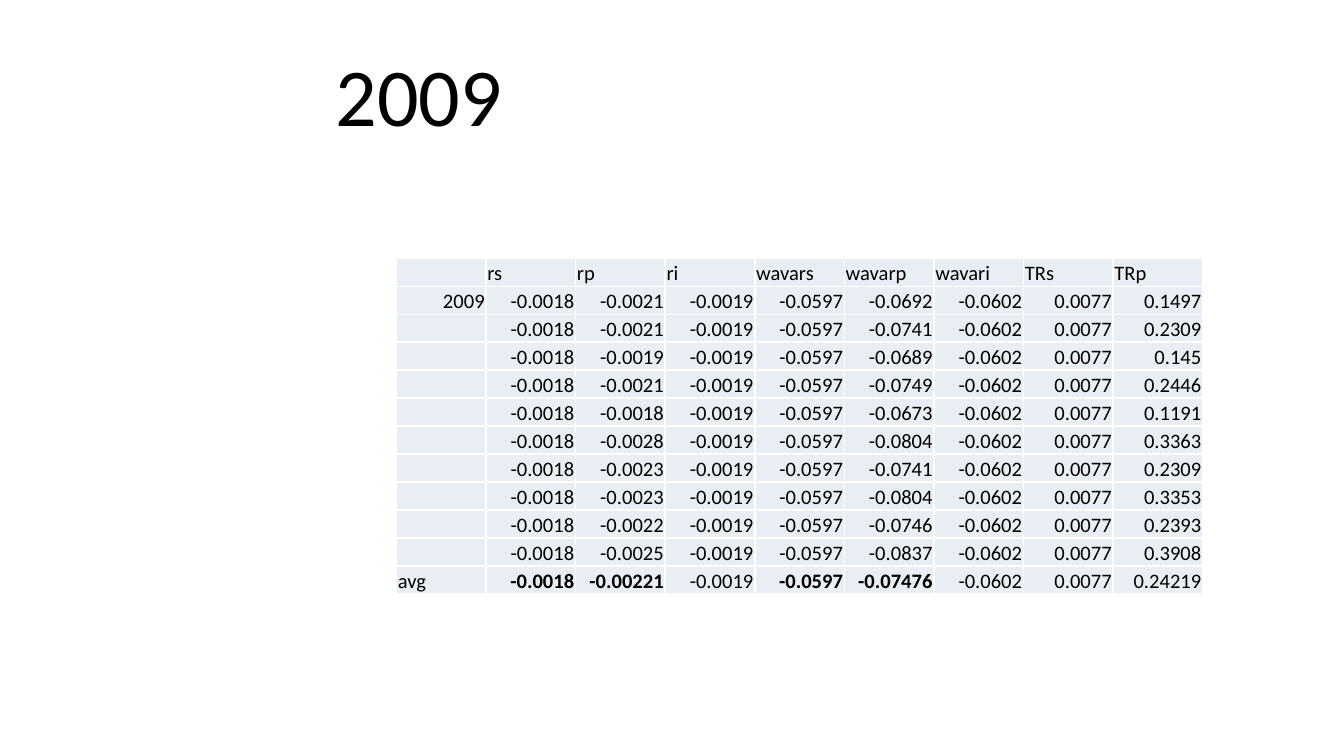
from dataclasses import dataclass

from lxml.etree import SubElement
from pptx import Presentation
from pptx.dml.color import RGBColor
from pptx.enum.text import MSO_ANCHOR, PP_ALIGN
from pptx.oxml.ns import qn
from pptx.slide import Slide
from pptx.table import _Cell
from pptx.util import Pt

FONT = "Calibri"
BLACK, WHITE, CELL_FILL = "000000", "FFFFFF", "E9EDF4"
BODY_SIZE = 11
COLUMN_WIDTH, ROW_HEIGHT = 48, 15
TABLE_LEFT, TABLE_TOP = 212.4, 138.4

HEADERS = ["", "rs", "rp", "ri", "wavars", "wavarp", "wavari", "TRs", "TRp"]
# The columns that change from row to row: rp, wavarp, TRp
RUNS = [
    ("-0.0021", "-0.0692", "0.1497"),
    ("-0.0021", "-0.0741", "0.2309"),
    ("-0.0019", "-0.0689", "0.145"),
    ("-0.0021", "-0.0749", "0.2446"),
    ("-0.0018", "-0.0673", "0.1191"),
    ("-0.0028", "-0.0804", "0.3363"),
    ("-0.0023", "-0.0741", "0.2309"),
    ("-0.0023", "-0.0804", "0.3353"),
    ("-0.0022", "-0.0746", "0.2393"),
    ("-0.0025", "-0.0837", "0.3908"),
]
AVERAGES = ("-0.00221", "-0.07476", "0.24219")
BOLD_AVERAGES = {"rs", "rp", "wavars", "wavarp"}


@dataclass
class CellText:
    text: str
    right: bool = True
    bold: bool = False


def color(value: str) -> RGBColor:
    return RGBColor.from_string(value)


def value_row(label: str, rp: str, wavarp: str, trp: str) -> list[str]:
    return [label, "-0.0018", rp, "-0.0019", "-0.0597", wavarp, "-0.0602", "0.0077", trp]


def build_rows() -> list[list[CellText]]:
    rows = [[CellText(name, right=False) for name in HEADERS]]
    for i, run in enumerate(RUNS):
        label = "2009" if i == 0 else ""
        rows.append([CellText(text) for text in value_row(label, *run)])
    rows.append([
        CellText(text, right=name != "", bold=name in BOLD_AVERAGES)
        for name, text in zip(HEADERS, value_row("avg", *AVERAGES))
    ])
    return rows


def add_borders(cell: _Cell) -> None:
    tc_pr = cell._tc.get_or_add_tcPr()
    for side in ("lnL", "lnR", "lnT", "lnB"):
        ln = SubElement(tc_pr, qn(f"a:{side}"), w=str(Pt(1)))
        fill = SubElement(ln, qn("a:solidFill"))
        SubElement(fill, qn("a:srgbClr"), val=WHITE)


def fill_cell(cell: _Cell, item: CellText) -> None:
    add_borders(cell)
    cell.fill.solid()
    cell.fill.fore_color.rgb = color(CELL_FILL)
    cell.margin_left = cell.margin_right = cell.margin_top = Pt(0.72)
    cell.margin_bottom = Pt(0)
    cell.vertical_anchor = MSO_ANCHOR.BOTTOM
    p = cell.text_frame.paragraphs[0]
    p.text = item.text
    p.alignment = PP_ALIGN.RIGHT if item.right else PP_ALIGN.LEFT
    for r in p.runs:
        r.font.name, r.font.size, r.font.bold = FONT, Pt(BODY_SIZE), item.bold
        r.font.color.rgb = color(BLACK)
    # Keeps empty cells from stretching their row
    SubElement(p._p, qn("a:endParaRPr"), sz=str(BODY_SIZE * 100))


def add_title(s: Slide, text: str) -> None:
    sp = s.shapes.add_textbox(Pt(172.8), Pt(16.5), Pt(511.2), Pt(67.5))
    tf = sp.text_frame
    tf.word_wrap = True
    tf.vertical_anchor = MSO_ANCHOR.MIDDLE
    tf.text = text
    font = tf.paragraphs[0].runs[0].font
    font.name, font.size = FONT, Pt(44)
    font.color.rgb = color(BLACK)


def add_results_table(s: Slide, rows: list[list[CellText]]) -> None:
    table = s.shapes.add_table(
        len(rows), len(HEADERS), Pt(TABLE_LEFT), Pt(TABLE_TOP),
        Pt(COLUMN_WIDTH * len(HEADERS)), Pt(ROW_HEIGHT * len(rows)),
    ).table
    table.first_row = table.horz_banding = False
    for i, row in enumerate(rows):
        for j, item in enumerate(row):
            fill_cell(table.cell(i, j), item)


def main() -> None:
    prs = Presentation()
    prs.slide_width, prs.slide_height = Pt(720), Pt(405)
    s = prs.slides.add_slide(prs.slide_layouts[6])

    # Title
    add_title(s, "2009")

    # Results by run, with the averages last
    add_results_table(s, build_rows())

    prs.save("out.pptx")


if __name__ == "__main__":
    main()
